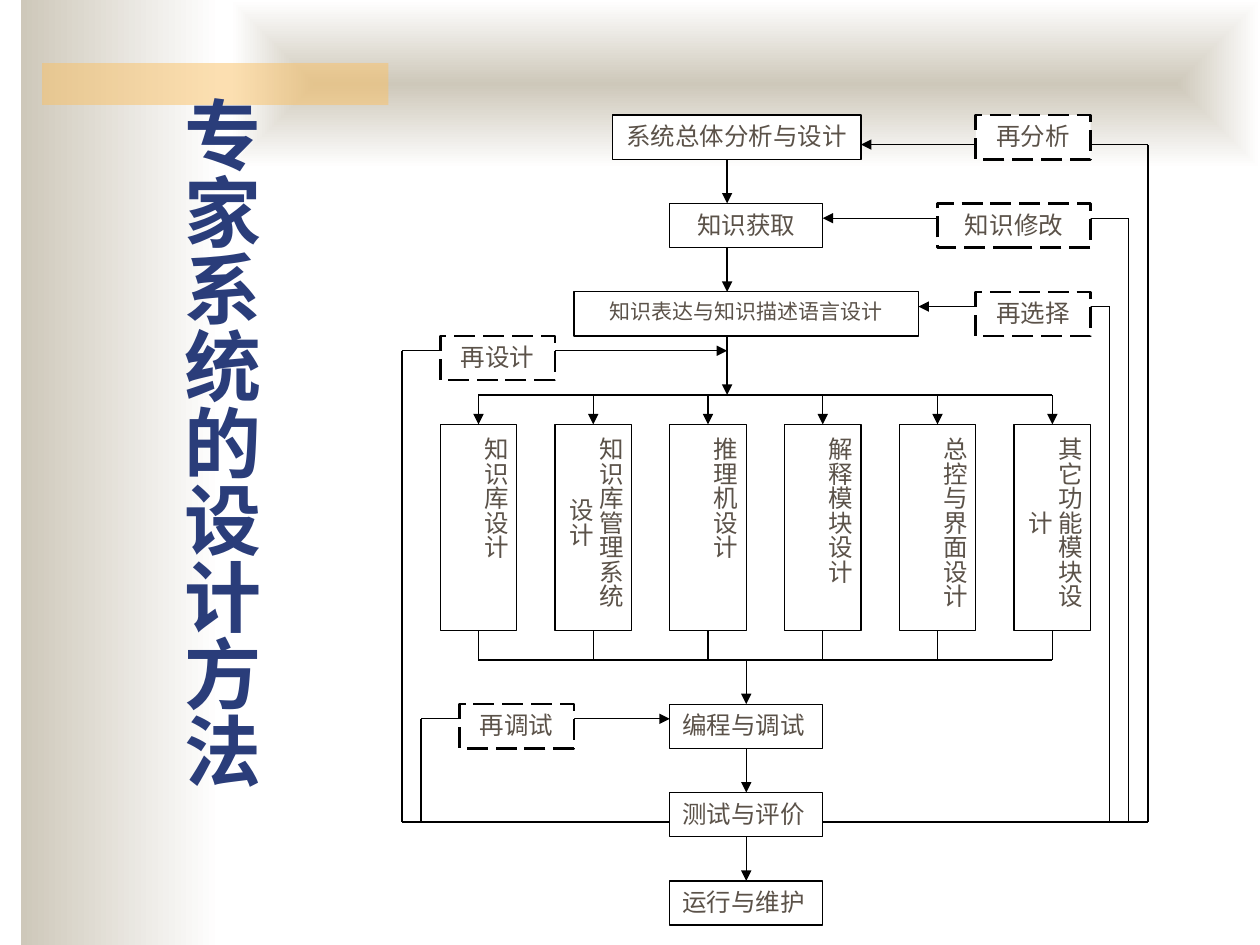
from dataclasses import dataclass

from lxml import etree
from pptx import Presentation
from pptx.dml.color import RGBColor
from pptx.enum.dml import MSO_LINE
from pptx.enum.shapes import MSO_CONNECTOR, MSO_SHAPE
from pptx.enum.text import MSO_ANCHOR, PP_ALIGN
from pptx.oxml.ns import qn
from pptx.util import Pt

RECT = MSO_SHAPE.RECTANGLE
STRAIGHT = MSO_CONNECTOR.STRAIGHT
LONG_DASH = MSO_LINE.LONG_DASH
TOP, BOTTOM = MSO_ANCHOR.TOP, MSO_ANCHOR.BOTTOM
LEFT, CENTER, JUSTIFY = PP_ALIGN.LEFT, PP_ALIGN.CENTER, PP_ALIGN.JUSTIFY
SITE_TOP, SITE_BOTTOM = 0, 2


@dataclass(frozen=True)
class Theme:
    font: str = "Times New Roman"
    title: RGBColor = RGBColor(0x2A, 0x3D, 0x7A)
    text: RGBColor = RGBColor(0x5B, 0x52, 0x49)
    line: RGBColor = RGBColor(0, 0, 0)
    paper: RGBColor = RGBColor(0xFF, 0xFF, 0xFF)
    stone: RGBColor = RGBColor(0xCE, 0xC8, 0xBA)
    amber: RGBColor = RGBColor(0xFA, 0xC1, 0x64)
    title_size: float = 44
    body_size: float = 14
    small_size: float = 12
    thin: float = 0.75
    thick: float = 1.5


THEME = Theme()

# Flowchart grid: column, row, columns wide, text, alignment, type size
STEPS = [
    (11, 0, 13, "系统总体分析与设计", CENTER, THEME.body_size),
    (14, 6, 8, "知识获取", CENTER, THEME.body_size),
    (9, 12, 18, "知识表达与知识描述语言设计", CENTER, THEME.small_size),
    (14, 40, 8, "编程与调试", JUSTIFY, THEME.body_size),
    (14, 46, 8, "测试与评价", JUSTIFY, THEME.body_size),
    (14, 52, 8, "运行与维护", JUSTIFY, THEME.body_size),
]
MODULES = ["知识库设计", "知识库管理系统设计", "推理机设计",
           "解释模块设计", "总控与界面设计", "其它功能模块设计"]
FEEDBACK = [(30, 0, 6, "再分析"), (28, 6, 8, "知识修改"), (30, 12, 6, "再选择"),
            (2, 15, 6, "再设计"), (3, 40, 6, "再调试")]
# Return loops from the test step: lane column, target column, target row
LOOPS = [(39, 24, 2), (38, 22, 7), (37, 27, 13), (0, 17, 16), (1, 14, 41)]
COLS, ROWS, STEP_ROWS = 39, 55, 3
SPINE, BUS_IN, BUS_OUT, TEST_ROW = 17, 19, 37, 48


def write(sp, text, size, color, align=CENTER, anchor=TOP, vertical=False, bold=False):
    tf = sp.text_frame
    side, end = (3.6, 7.2) if vertical else (7.2, 3.6)
    frame = {"word_wrap": True, "vertical_anchor": anchor,
             "margin_left": Pt(side), "margin_right": Pt(side),
             "margin_top": Pt(end), "margin_bottom": Pt(end)}
    for name, value in frame.items():
        setattr(tf, name, value)
    if vertical:
        tf.paragraphs[0]._p.getparent().find(qn("a:bodyPr")).set("vert", "eaVert")
    p = tf.paragraphs[0]
    p.alignment = align
    r = p.add_run()
    r.text = text
    for name, value in {"name": THEME.font, "size": Pt(size), "bold": bold}.items():
        setattr(r.font, name, value)
    r.font.color.rgb = color


def add_rect(shapes, box):
    sp = shapes.add_shape(RECT, *map(Pt, box))
    sp.shadow.inherit = False
    return sp


def add_panel(shapes, box, from_center=False):
    """Gradient from stone to paper, left to right or outwards from the centre."""
    sp = add_rect(shapes, box)
    sp.line.fill.background()
    sp.fill.gradient()
    for stop, color in zip(sp.fill.gradient_stops, (THEME.stone, THEME.paper)):
        stop.color.rgb = color
    sp.fill.gradient_angle = 0
    if from_center:
        lin = sp._element.spPr.find(qn("a:gradFill")).find(qn("a:lin"))
        path = etree.Element(qn("a:path"), {"path": "rect"})
        etree.SubElement(path, qn("a:fillToRect"), dict.fromkeys("ltrb", "50000"))
        lin.getparent().replace(lin, path)


def add_accent(shapes, box):
    sp = add_rect(shapes, box)
    sp.line.fill.background()
    sp.fill.solid()
    sp.fill.fore_color.rgb = THEME.amber
    color = sp._element.spPr.find(qn("a:solidFill"))[0]
    etree.SubElement(color, qn("a:alpha"), {"val": "50000"})


def add_title(shapes, box, text):
    sp = shapes.add_textbox(*map(Pt, box))
    write(sp, text, THEME.title_size, THEME.title, LEFT, BOTTOM, vertical=True, bold=True)


def add_step(shapes, box, text, align=CENTER, size=THEME.body_size,
             vertical=False, dashed=False):
    sp = add_rect(shapes, box)
    sp.fill.solid()
    sp.fill.fore_color.rgb = THEME.paper
    sp.line.color.rgb = THEME.line
    sp.line.width = Pt(THEME.thick if dashed else THEME.thin)
    if dashed:
        sp.line.dash_style = LONG_DASH
    write(sp, text, size, THEME.text, align, vertical=vertical)
    return sp


def add_line(shapes, start, end, arrow=False):
    cn = shapes.add_connector(STRAIGHT, *map(Pt, (*start, *end)))
    cn.line.color.rgb = THEME.line
    cn.line.width = Pt(THEME.thin)
    if arrow:
        etree.SubElement(cn.line._get_or_add_ln(), qn("a:tailEnd"), {"type": "triangle"})
    etree.SubElement(cn._element.spPr, qn("a:effectLst"))
    return cn


def add_flowchart(shapes, box):
    """Lay the whole chart on a grid of COLS by ROWS cells inside the box."""
    left, top, width, height = box
    dx, dy = width / COLS, height / ROWS

    def at(col, row):
        return left + col * dx, top + row * dy

    def cell(col, row, cols, rows=STEP_ROWS):
        return (*at(col, row), cols * dx, rows * dy)

    def route(*points, arrow=False):
        last = len(points) - 2
        for i, (start, end) in enumerate(zip(points, points[1:])):
            cn = add_line(shapes, at(*start), at(*end), arrow and i == last)
        return cn

    steps = [add_step(shapes, cell(col, row, cols), text, align, size)
             for col, row, cols, text, align, size in STEPS]
    coding, testing, running = steps[3:]

    for start, end in ((3, 6), (9, 12), (15, BUS_IN)):
        route((SPINE, start), (SPINE, end), arrow=True)

    first, last = 4, 4 + 6 * (len(MODULES) - 1)
    for bus in (BUS_IN, BUS_OUT):
        route((first, bus), (last, bus))
    for i, text in enumerate(MODULES):
        mid = first + 6 * i
        module = add_step(shapes, cell(mid - 2, 21, 4, 14), text, vertical=True)
        route((mid, BUS_IN), (mid, 21), arrow=True).end_connect(module, SITE_TOP)
        route((mid, 35), (mid, BUS_OUT)).begin_connect(module, SITE_BOTTOM)

    route((18, BUS_OUT), (18, 40), arrow=True).end_connect(coding, SITE_TOP)
    for upper, lower, row in ((coding, testing, 43), (testing, running, 49)):
        cn = route((18, row), (18, row + 3), arrow=True)
        cn.begin_connect(upper, SITE_BOTTOM)
        cn.end_connect(lower, SITE_TOP)

    route((22, TEST_ROW), (39, TEST_ROW))
    route((14, TEST_ROW), (0, TEST_ROW))
    for lane, col, row in LOOPS:
        route((lane, TEST_ROW), (lane, row), (col, row), arrow=True)
    for col, row, cols, text in FEEDBACK:
        add_step(shapes, cell(col, row, cols), text, dashed=True)


def main():
    prs = Presentation()
    prs.slide_width, prs.slide_height = Pt(720), Pt(540)
    s = prs.slides.add_slide(prs.slide_layouts[6])
    add_panel(s.shapes, (12, 0, 114, 540))
    add_panel(s.shapes, (132, 0, 588, 96), from_center=True)
    add_accent(s.shapes, (24, 36, 198, 24))
    add_title(s.shapes, (96, 48, 66, 432), "专家系统的设计方法")
    add_flowchart(s.shapes.add_group_shape().shapes, (229.7, 65.8, 426.3, 462.8))
    prs.save("out.pptx")


if __name__ == "__main__":
    main()
